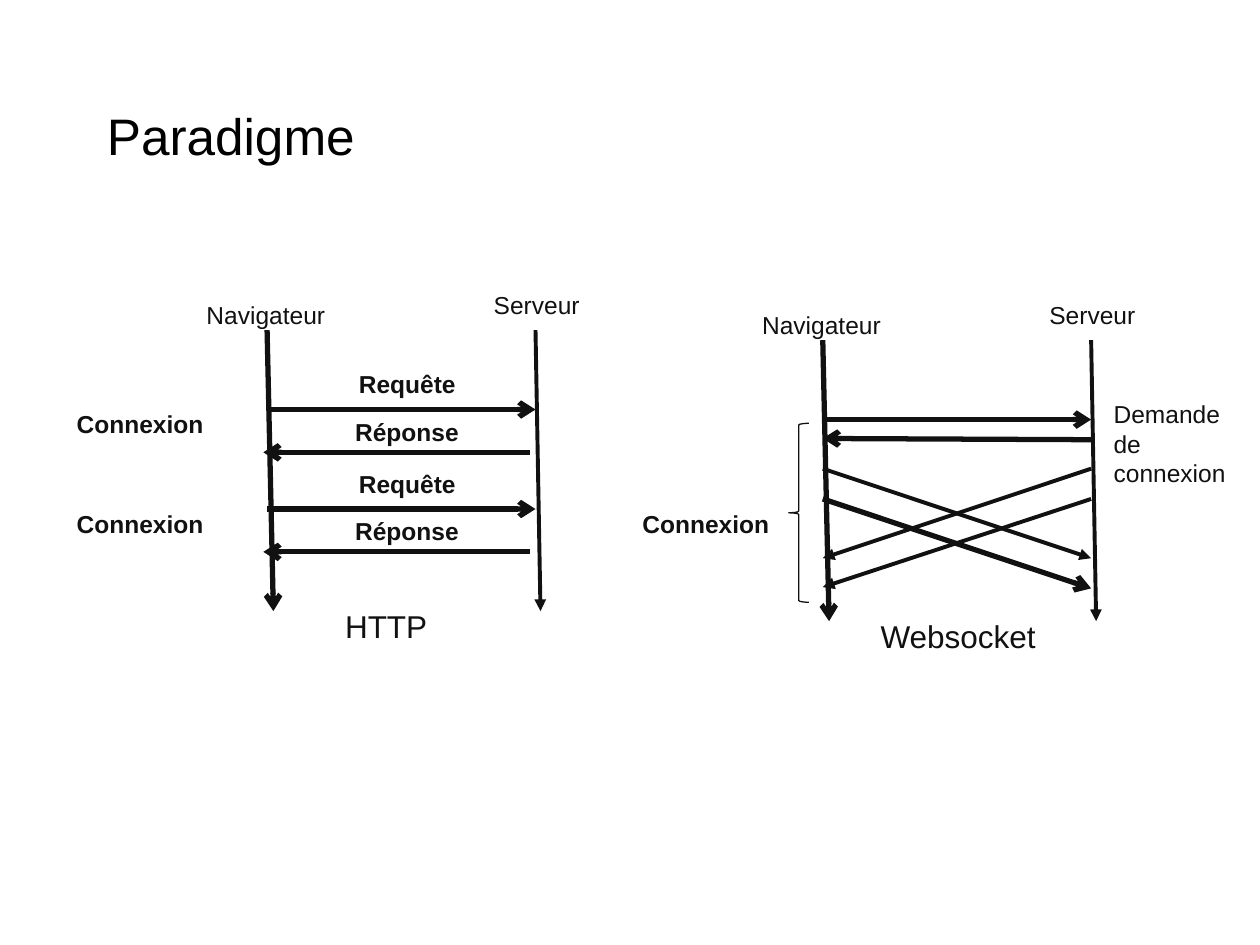
from dataclasses import dataclass

from lxml import etree
from pptx import Presentation
from pptx.dml.color import RGBColor
from pptx.enum.shapes import MSO_CONNECTOR, MSO_SHAPE
from pptx.enum.text import MSO_ANCHOR, PP_ALIGN
from pptx.oxml.ns import qn
from pptx.util import Inches, Pt

LINE, BRACE = MSO_CONNECTOR.STRAIGHT, MSO_SHAPE.LEFT_BRACE
LEFT, CENTER = PP_ALIGN.LEFT, PP_ALIGN.CENTER
TOP, MIDDLE = MSO_ANCHOR.TOP, MSO_ANCHOR.MIDDLE
COLORS = {"title": "000000", "ink": "111111"}
FONT = "Arial"
THICK, THIN = 3, 2.24

prs = Presentation()
prs.slide_width, prs.slide_height = Inches(10), Inches(7.5)
slide = prs.slides.add_slide(prs.slide_layouts[6])


@dataclass
class Arrow:
    x1: float
    y1: float
    x2: float
    y2: float
    width: float = THICK
    end: str = "tailEnd"


def text(words: str, x: float, y: float, w: float, h: float = 0.34, *,
         size: float = 14, bold: bool = False, color: str = "ink",
         align: PP_ALIGN = LEFT, anchor: MSO_ANCHOR = TOP,
         wrap: bool = False) -> None:
    box = slide.shapes.add_textbox(Inches(x), Inches(y), Inches(w), Inches(h))
    frame = box.text_frame
    frame.word_wrap = wrap
    frame.vertical_anchor = anchor
    para = frame.paragraphs[0]
    para.alignment = align
    run = para.add_run()
    run.text = words
    font = run.font
    font.name, font.size, font.bold = FONT, Pt(size), bold
    font.color.rgb = RGBColor.from_string(COLORS[color])


def draw(arrow: Arrow) -> None:
    line = slide.shapes.add_connector(
        LINE, Inches(arrow.x1), Inches(arrow.y1),
        Inches(arrow.x2), Inches(arrow.y2))
    line.line.color.rgb = RGBColor.from_string(COLORS["ink"])
    line.line.width = Pt(arrow.width)
    # Thick lines end in an open arrow, thin ones in a triangle
    kind = "arrow" if arrow.width == THICK else "triangle"
    props = line._element.spPr
    etree.SubElement(props.find(qn("a:ln")), qn("a:" + arrow.end), type=kind)
    etree.SubElement(props, qn("a:effectLst"))


def lanes(x: float, y: float) -> None:
    """Draw the browser and server time lines of one diagram."""
    draw(Arrow(x, y, x + 0.05, y + 2.23))
    draw(Arrow(x + 2.13, y, x + 2.17, y + 2.23, THIN))
    text("Navigateur", x - 0.58, y - 0.29, 1.14, align=CENTER)
    text("Serveur", x + 1.7, y - 0.37, 0.88)


# Title
text("Paradigme", 0.75, 0.44, 8.5, 1.27, size=29.3, color="title",
     anchor=MIDDLE, wrap=True)

# HTTP: one connection for each request and reply
lanes(2.12, 2.62)
for turn in range(2):
    dy = turn * 0.79
    draw(Arrow(2.12, 3.25 + dy, 4.25, 3.25 + dy))
    draw(Arrow(2.09, 3.59 + dy, 4.21, 3.59 + dy, end="headEnd"))
    text("Connexion", 0.51, 3.2 + dy, 1.21, bold=True)
    text("Requête", 2.75, 2.88 + dy, 0.97, bold=True)
    text("Réponse", 2.72, 3.26 + dy, 1.02, bold=True)
text("HTTP", 2.64, 4.77, 0.85, 0.4, size=18)

# Websocket: handshake, then messages both ways
lanes(6.53, 2.7)
near, far = 6.53, 8.66
for arrow in (
    Arrow(near, 3.33, far, 3.33),
    Arrow(near, 3.48, far, 3.49, end="headEnd"),
    Arrow(near, 4.43, far, 3.72, THIN, "headEnd"),
    Arrow(near, 4.66, far, 3.96, THIN, "headEnd"),
    Arrow(near, 3.72, far, 4.43, THIN),
    Arrow(near, 3.96, far, 4.67),
):
    draw(arrow)
text("Connexion", 5, 3.99, 1.21, bold=True)
text("Demande de connexion", 8.74, 3.12, 1.26, 0.8, wrap=True)
text("Websocket", 6.89, 4.85, 1.43, 0.4, size=18)

# Brace around the single connection
brace = slide.shapes.add_shape(
    BRACE, Inches(6.26), Inches(3.36), Inches(0.16), Inches(1.42))
brace.shadow.inherit = False
brace.fill.background()
brace.line.color.rgb = RGBColor.from_string(COLORS["ink"])
brace.line.width = Pt(0.74)

prs.save("out.pptx")
